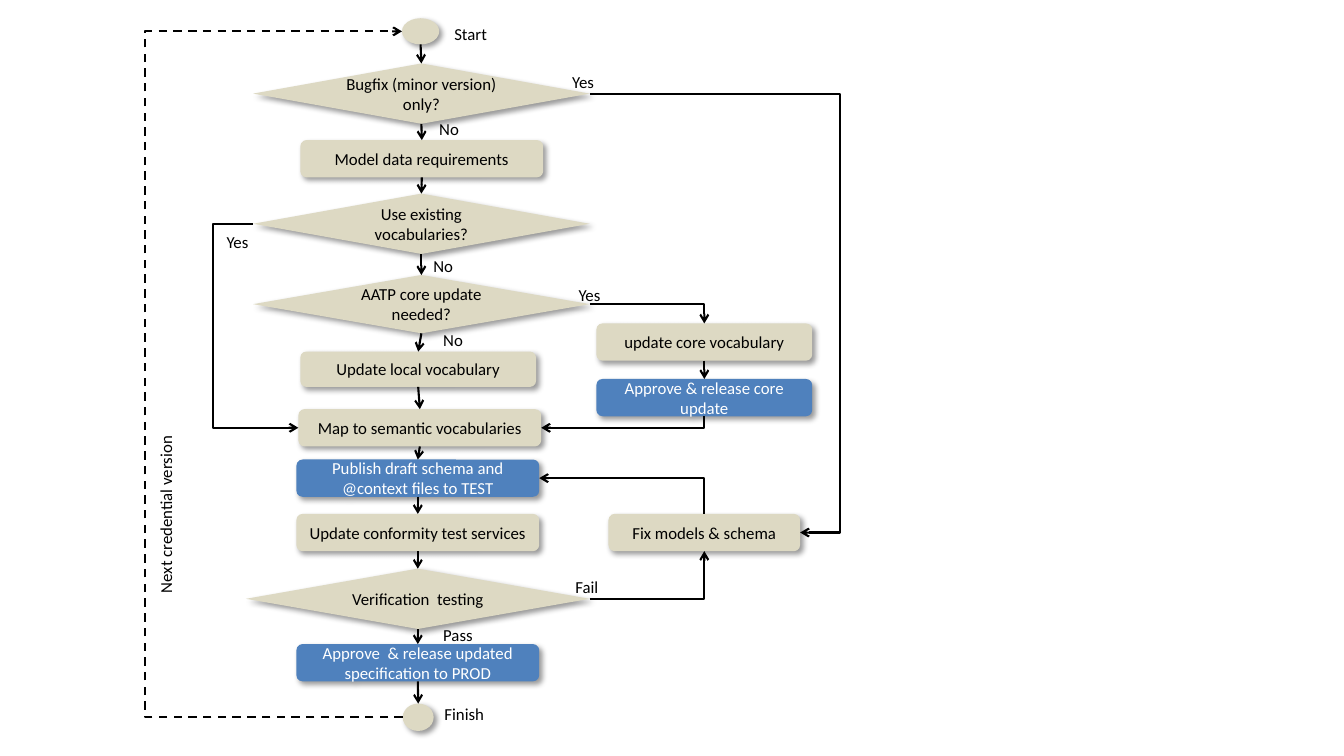
from dataclasses import dataclass
from enum import IntEnum
from itertools import pairwise
from typing import Optional

from lxml.etree import SubElement
from pptx import Presentation
from pptx.dml.color import RGBColor
from pptx.enum.dml import MSO_LINE
from pptx.enum.shapes import MSO_CONNECTOR as CONN, MSO_SHAPE as SHAPE
from pptx.enum.text import MSO_ANCHOR, MSO_AUTO_SIZE, PP_ALIGN
from pptx.oxml.ns import qn
from pptx.util import Cm, Pt

BLACK = RGBColor(0x00, 0x00, 0x00)
WHITE = RGBColor(0xFF, 0xFF, 0xFF)
SAND = RGBColor(0xDD, 0xD9, 0xC3)
BLUE = RGBColor(0x4F, 0x81, 0xBD)
ROUND, DECISION, OVAL = SHAPE.ROUNDED_RECTANGLE, SHAPE.FLOWCHART_DECISION, SHAPE.OVAL


class Side(IntEnum):
    TOP = 0
    LEFT = 1
    BOTTOM = 2
    RIGHT = 3


@dataclass
class Node:
    """A flowchart step, placed by its horizontal centre and top, in cm."""
    key: str
    text: str
    center: float
    top: float
    width: float = 6.12
    height: float = 0.94
    kind: SHAPE = ROUND
    fill: RGBColor = SAND


@dataclass
class Elbow:
    """A bent arrow; via is the x of its middle leg, in cm, if it has three legs."""
    start: str
    start_side: Side
    end: str
    end_side: Side
    via: Optional[float] = None
    dashed: bool = False


@dataclass
class Label:
    text: str
    left: float
    top: float
    width: float
    rotation: int = 0


MAIN_FLOW = [
    Node("start", "", 10.6, 0.46, 0.94, 0.66, OVAL),
    Node("bugfix", "Bugfix (minor version) only?", 10.62, 1.6, 8.48, 1.52, DECISION),
    Node("model", "Model data requirements", 10.63, 3.53),
    Node("existing", "Use existing vocabularies?", 10.62, 4.88, 8.48, 1.52, DECISION),
    Node("core", "AATP core update needed?", 10.62, 6.93, 8.48, 1.47, DECISION),
    Node("local", "Update local vocabulary", 10.54, 8.86, 5.94, 0.89),
    Node("map", "Map to semantic vocabularies", 10.58, 10.31),
    Node("draft", "Publish draft schema and @context files to TEST", 10.53, 11.58, fill=BLUE),
    Node("conformity", "Update conformity test services", 10.53, 12.95),
    Node("verify", "Verification  testing", 10.53, 14.33, 8.66, 1.52, DECISION),
    Node("release", "Approve  & release updated specification to PROD", 10.53, 16.23, fill=BLUE),
    Node("finish", "", 10.54, 17.73, 0.78, 0.69, OVAL),
]
CORE_FLOW = [
    Node("update core", "update core vocabulary", 17.75, 8.15, 5.44),
    Node("release core", "Approve & release core update", 17.75, 9.55, 5.44, fill=BLUE),
]
FIX = Node("fix", "Fix models & schema", 17.75, 12.95, 4.83)

ELBOWS = [
    Elbow("verify", Side.RIGHT, "fix", Side.BOTTOM),
    Elbow("fix", Side.TOP, "draft", Side.RIGHT),
    Elbow("existing", Side.LEFT, "map", Side.LEFT, via=5.36),
    Elbow("finish", Side.LEFT, "start", Side.LEFT, via=3.66, dashed=True),
    Elbow("core", Side.RIGHT, "update core", Side.TOP),
    Elbow("release core", Side.BOTTOM, "map", Side.RIGHT),
    Elbow("bugfix", Side.RIGHT, "fix", Side.RIGHT, via=21.18),
]

LABELS = [
    Label("Start", 11.2, 0.46, 1.35),
    Label("Yes", 14.17, 1.68, 1.07),
    Label("No", 10.82, 2.87, 1.02),
    Label("Yes", 5.46, 5.72, 1.07),
    Label("No", 10.67, 6.32, 1.02),
    Label("Yes", 14.33, 7.04, 1.07),
    Label("No", 10.92, 8.18, 1.02),
    Label("Fail", 14.25, 14.4, 1.09),
    Label("Pass", 10.92, 15.6, 1.27),
    Label("Finish", 10.95, 17.6, 1.52),
    Label("Next credential version", 1.91, 12.55, 4.52, rotation=270),
]


def add_run(p, text: str, color: RGBColor) -> None:
    r = p.add_run()
    r.text = text
    r.font.size, r.font.name = Pt(12), "Calibri"
    r.font.color.rgb = color


def add_shadow(sp) -> None:
    sp.shadow.inherit = False
    effects = sp._element.spPr.find(qn("a:effectLst"))
    shadow = SubElement(effects, qn("a:outerShdw"), blurRad=str(Pt(4)), dist=str(Pt(3)),
                        dir="2700000", algn="tl", rotWithShape="0")
    color = SubElement(shadow, qn("a:srgbClr"), val=str(BLACK))
    SubElement(color, qn("a:alpha"), val="40000")


def add_node(shapes, node: Node):
    sp = shapes.add_shape(node.kind, Cm(node.center - node.width / 2), Cm(node.top),
                          Cm(node.width), Cm(node.height))
    sp.fill.solid()
    sp.fill.fore_color.rgb = node.fill
    sp.line.fill.background()
    add_shadow(sp)
    if node.text:
        tf = sp.text_frame
        tf.word_wrap = True
        tf.vertical_anchor = MSO_ANCHOR.MIDDLE
        tf.margin_left = tf.margin_right = tf.margin_top = tf.margin_bottom = Cm(0.1)
        p = tf.paragraphs[0]
        p.alignment = PP_ALIGN.CENTER
        add_run(p, node.text, WHITE if node.fill == BLUE else BLACK)
    return sp


def side_point(sp, side: Side) -> tuple[int, int]:
    x = {Side.LEFT: 0, Side.RIGHT: sp.width}.get(side, sp.width // 2)
    y = {Side.TOP: 0, Side.BOTTOM: sp.height}.get(side, sp.height // 2)
    return sp.left + x, sp.top + y


def add_arrow(shapes, kind: CONN, start, start_side: Side, end, end_side: Side,
              dashed: bool = False):
    """Draw an arrow between two sides and join it to both shapes."""
    begin, finish = side_point(start, start_side), side_point(end, end_side)
    c = shapes.add_connector(kind, *begin, *finish)
    # An ellipse has eight sites, so its left one is number 2 and its bottom one is 4.
    oval_sites = {Side.TOP: 0, Side.LEFT: 2}
    for sp, side, join in ((start, start_side, c.begin_connect), (end, end_side, c.end_connect)):
        site = oval_sites.get(side) if sp.auto_shape_type == OVAL else int(side)
        if site is not None:
            join(sp, site)
    c.begin_x, c.begin_y = begin
    c.end_x, c.end_y = finish
    c.line.color.rgb = BLACK
    c.line.width = Pt(1.5)
    if dashed:
        c.line.dash_style = MSO_LINE.DASH
    SubElement(c.line._get_or_add_ln(), qn("a:tailEnd"), type="arrow")
    SubElement(c._element.spPr, qn("a:effectLst"))
    return c


def add_elbow(shapes, elbow: Elbow, nodes: dict) -> None:
    c = add_arrow(shapes, CONN.ELBOW, nodes[elbow.start], elbow.start_side,
                  nodes[elbow.end], elbow.end_side, elbow.dashed)
    spPr = c._element.spPr
    geom, xfrm = spPr.find(qn("a:prstGeom")), spPr.find(qn("a:xfrm"))
    if elbow.via is not None:
        ratio = (Cm(elbow.via) - c.begin_x) / (c.end_x - c.begin_x)
        SubElement(geom.find(qn("a:avLst")), qn("a:gd"), name="adj1",
                   fmla=f"val {round(ratio * 100000)}")
        if elbow.start_side == Side.LEFT:
            xfrm.rot, xfrm.flipH, xfrm.flipV = 180.0, not xfrm.flipH, not xfrm.flipV
        return
    geom.set("prst", "bentConnector2")
    if elbow.start_side in (Side.TOP, Side.BOTTOM):
        # The preset leaves sideways: turn it so that it leaves vertically, then goes left.
        up = elbow.start_side == Side.TOP
        shift = (c.width - c.height) // 2
        c.left, c.top = c.left + shift, c.top - shift
        c.width, c.height = c.height, c.width
        xfrm.rot, xfrm.flipH, xfrm.flipV = 270.0 if up else 90.0, False, up


def add_label(shapes, label: Label) -> None:
    sp = shapes.add_textbox(Cm(label.left), Cm(label.top), Cm(label.width), Cm(0.77))
    sp.rotation = label.rotation
    tf = sp.text_frame
    tf.word_wrap = False
    tf.auto_size = MSO_AUTO_SIZE.SHAPE_TO_FIT_TEXT
    tf.vertical_anchor = MSO_ANCHOR.MIDDLE
    add_run(tf.paragraphs[0], label.text, BLACK)


def main() -> None:
    prs = Presentation()
    prs.slide_width, prs.slide_height = Cm(33.87), Cm(19.05)
    shapes = prs.slides.add_slide(prs.slide_layouts[6]).shapes
    nodes = {node.key: add_node(shapes, node) for node in [*MAIN_FLOW, *CORE_FLOW, FIX]}
    for flow in (MAIN_FLOW, CORE_FLOW):
        for a, b in pairwise(flow):
            add_arrow(shapes, CONN.STRAIGHT, nodes[a.key], Side.BOTTOM, nodes[b.key], Side.TOP)
    for elbow in ELBOWS:
        add_elbow(shapes, elbow, nodes)
    for label in LABELS:
        add_label(shapes, label)
    prs.save("out.pptx")


if __name__ == "__main__":
    main()
